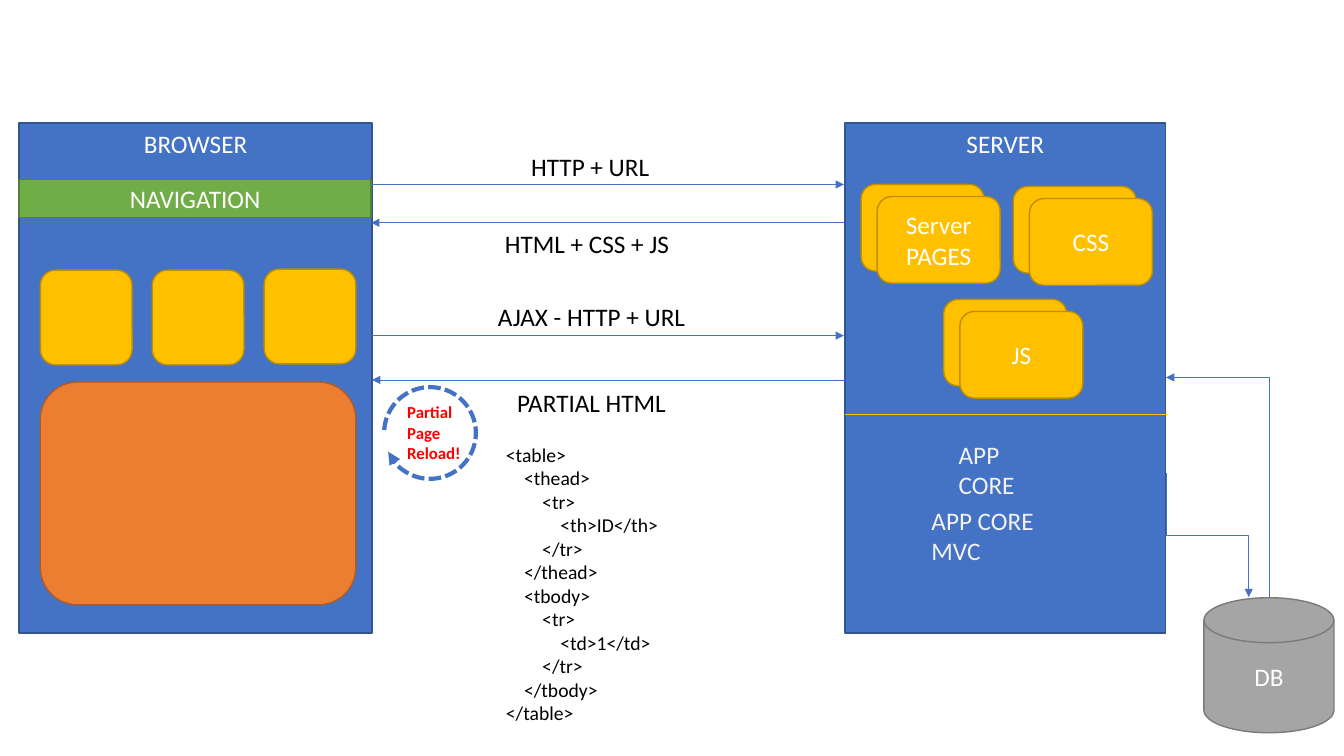
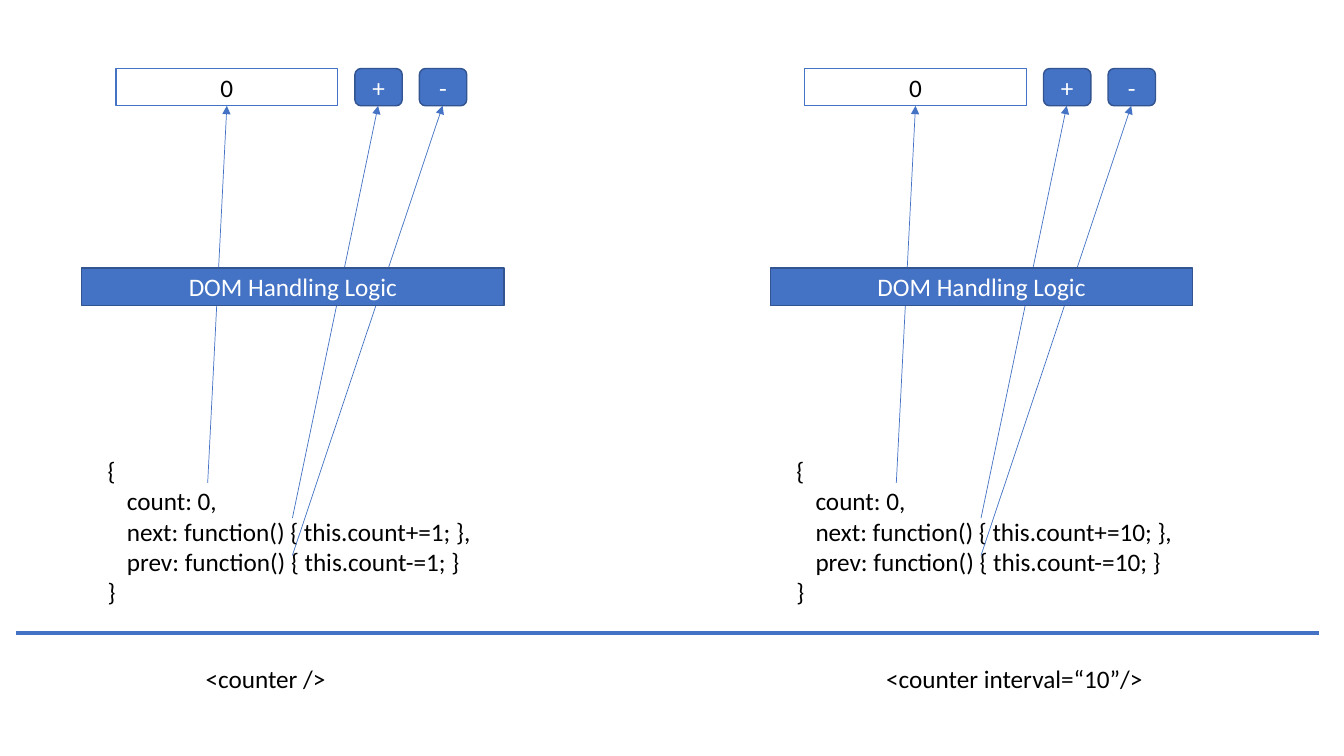
from dataclasses import dataclass
from typing import Any

from lxml import etree
from pptx import Presentation
from pptx.dml.color import RGBColor
from pptx.enum.dml import MSO_LINE
from pptx.enum.shapes import MSO_CONNECTOR, MSO_SHAPE
from pptx.enum.text import MSO_ANCHOR, MSO_AUTO_SIZE, PP_ALIGN
from pptx.oxml.ns import qn
from pptx.shapes.connector import Connector
from pptx.slide import Slide
from pptx.util import Pt

RECT = MSO_SHAPE.RECTANGLE
ROUND = MSO_SHAPE.ROUNDED_RECTANGLE
DISK = MSO_SHAPE.FLOWCHART_MAGNETIC_DISK
ARC = MSO_SHAPE.ARC
STRAIGHT = MSO_CONNECTOR.STRAIGHT
ELBOW = MSO_CONNECTOR.ELBOW
TOP = MSO_ANCHOR.TOP
MIDDLE = MSO_ANCHOR.MIDDLE
CENTER = PP_ALIGN.CENTER
GROW = MSO_AUTO_SIZE.SHAPE_TO_FIT_TEXT
SYSTEM_DASH = MSO_LINE.SQUARE_DOT

EMU_PER_PX = 9144
FONT = "Calibri"
COLORS = {
    "blue": "4472C4", "blue edge": "325491",
    "gold": "FFC000", "gold edge": "BD8E00",
    "green": "70AD47", "green edge": "538035",
    "orange": "ED7D31", "orange edge": "AF5C24",
    "gray": "A5A5A5", "gray edge": "7A7A7A",
    "white": "FFFFFF", "pale": "F2F2F2", "black": "000000", "red": "FF0000",
}


@dataclass(frozen=True)
class Box:
    left: int
    top: int
    width: int
    height: int
    fill: str = "blue"
    text: str = ""
    preset: MSO_SHAPE = RECT
    anchor: MSO_ANCHOR = MIDDLE
    edge: str = ""
    ink: str = "white"


@dataclass(frozen=True)
class Label:
    left: int
    top: int
    width: int
    height: int
    lines: tuple[tuple[int, str], ...]
    size: int = 18
    ink: str = "black"
    bold: bool = False
    wrap: bool = False
    indent: int = 19


@dataclass(frozen=True)
class Link:
    x1: int
    y1: int
    x2: int
    y2: int
    color: str = "blue"
    weight: float = 0.5
    arrow: bool = True


@dataclass(frozen=True)
class Counter:
    left: int
    step: int
    code_width: int
    tag: Label


def px(length: int) -> int:
    return length * EMU_PER_PX


def rgb(name: str) -> RGBColor:
    return RGBColor.from_string(COLORS[name])


def apply(target: Any, values: dict[str, Any]) -> None:
    for name, value in values.items():
        setattr(target, name, value)


def style_font(font: Any, size: int, ink: str, bold: bool = False) -> None:
    apply(font, {"name": FONT, "size": Pt(size), "bold": bold})
    font.color.rgb = rgb(ink)


def add_arrowhead(outlined: Any) -> None:
    etree.SubElement(outlined.get_or_add_ln(), qn("a:tailEnd"), type="triangle")


def add_box(shapes: Any, box: Box) -> None:
    shape = shapes.add_shape(box.preset, px(box.left), px(box.top), px(box.width), px(box.height))
    shape.shadow.inherit = False
    shape.fill.solid()
    shape.fill.fore_color.rgb = rgb(box.fill)
    shape.line.color.rgb = rgb(box.edge or f"{box.fill} edge")
    shape.line.width = Pt(1)
    if box.text:
        shape.text_frame.text = box.text
        shape.text_frame.vertical_anchor = box.anchor
        paragraph = shape.text_frame.paragraphs[0]
        paragraph.alignment = CENTER
        style_font(paragraph.runs[0].font, 18, box.ink)


def add_label(shapes: Any, label: Label) -> None:
    frame = shapes.add_textbox(
        px(label.left), px(label.top), px(label.width), px(label.height)).text_frame
    apply(frame, {"word_wrap": label.wrap, "auto_size": GROW})
    for index, (level, words) in enumerate(label.lines):
        paragraph = frame.add_paragraph() if index else frame.paragraphs[0]
        if level:
            paragraph._p.get_or_add_pPr().set("marL", str(px(level * label.indent)))
        run = paragraph.add_run()
        run.text = words
        style_font(run.font, label.size, label.ink, label.bold)


def add_link(shapes: Any, link: Link, route: MSO_CONNECTOR = STRAIGHT) -> Connector:
    connector = shapes.add_connector(
        route, px(link.x1), px(link.y1), px(link.x2), px(link.y2))
    connector.line.color.rgb = rgb(link.color)
    connector.line.width = Pt(link.weight)
    if link.arrow:
        add_arrowhead(connector)
    etree.SubElement(connector.element.spPr, qn("a:effectLst"))
    return connector


def add_turned_link(shapes: Any, frame: Link, flip: str, preset: str) -> None:
    properties = add_link(shapes, frame, ELBOW).element.spPr
    transform = properties.find(qn("a:xfrm"))
    transform.set("rot", "16200000")
    transform.set(flip, "1")
    properties.find(qn("a:prstGeom")).set("prst", preset)


def add_page_stack(slide: Slide, left: int, top: int, text: str) -> None:
    stack = slide.shapes.add_group_shape().shapes
    add_box(stack, Box(left, top, 122, 86, "gold", preset=ROUND))
    add_box(stack, Box(left + 16, top + 12, 122, 86, "gold", text, ROUND))


def add_reload_badge(slide: Slide) -> None:
    badge = slide.shapes.add_group_shape().shapes
    loop = badge.add_shape(ARC, px(381), px(384), px(91), px(91))
    loop.shadow.inherit = False
    loop.adjustments[0] = 162
    loop.adjustments[1] = 145.327
    loop.rotation = 273.6
    loop.fill.background()
    loop.line.color.rgb = rgb("blue")
    apply(loop.line, {"width": Pt(3), "dash_style": SYSTEM_DASH})
    add_arrowhead(loop)
    words = ((0, "Partial"), (0, "Page"), (0, "Reload!"))
    add_label(badge, Label(394, 394, 74, 71, words, 12, "red", True))


def draw_server(slide: Slide) -> None:
    shapes = slide.shapes
    add_box(shapes, Box(838, 122, 318, 506, text="SERVER", anchor=TOP))
    add_turned_link(shapes, Link(1136, 490, 1259, 572), "flipH", "bentConnector3")
    add_turned_link(shapes, Link(1076, 455, 1339, 557), "flipV", "bentConnector2")
    for left, top, text in ((854, 183, "Server PAGES"), (1005, 185, "CSS"), (936, 297, "JS")):
        add_page_stack(slide, left, top, text)
    add_box(shapes, Box(1194, 593, 129, 134, "gray", "DB", DISK))
    add_link(shapes, Link(838, 411, 1157, 411, "gold", arrow=False))
    for left, top, width, text in ((941, 431, 112, "APP CORE"), (914, 496, 167, "APP CORE MVC")):
        add_label(shapes, Label(left, top, width, 40, ((0, text),), ink="pale"))


def draw_browser(slide: Slide) -> None:
    shapes = slide.shapes
    add_box(shapes, Box(19, 122, 350, 506, text="BROWSER", anchor=TOP))
    add_box(shapes, Box(19, 178, 349, 38, "green", "NAVIGATION"))
    for column, top in enumerate((268, 268, 267)):
        add_box(shapes, Box(40 + 111 * column, top, 91, 94, "gold", preset=ROUND))
    add_box(shapes, Box(40, 379, 313, 221, "orange", preset=ROUND))


def draw_messages(slide: Slide) -> None:
    shapes = slide.shapes
    for start, end, y in ((369, 837, 183), (837, 368, 221), (369, 837, 333), (838, 369, 377)):
        add_link(shapes, Link(start, y, end, y))
    for left, top, width, text in (
        (517, 145, 139, "HTTP + URL"),
        (491, 222, 191, "HTML + CSS + JS"),
        (484, 294, 208, "AJAX - HTTP + URL"),
        (503, 379, 169, "PARTIAL HTML"),
    ):
        add_label(shapes, Label(left, top, width, 40, ((0, text),)))
    markup = (
        (0, "<table>"),
        (1, "<thead>"),
        (2, "<tr>"),
        (3, "<th>ID</th>"),
        (2, "</tr>"),
        (1, "</thead>"),
        (1, "<tbody>"),
        (2, "<tr>"),
        (3, "<td>1</td>"),
        (2, "</tr>"),
        (1, "</tbody>"),
        (0, "</table>"),
    )
    add_label(shapes, Label(492, 434, 244, 293, markup, 14, wrap=True, indent=18))
    add_reload_badge(slide)


def draw_counter(slide: Slide, counter: Counter) -> None:
    shapes = slide.shapes
    left = counter.left
    controls = (
        Box(left + 34, 68, 220, 37, "white", "0", edge="blue", ink="black"),
        Box(left + 271, 68, 47, 37, text="+", preset=ROUND),
        Box(left + 335, 68, 47, 37, text="-", preset=ROUND),
    )
    for control in controls:
        add_box(shapes, control)
    code = (
        (0, "{"),
        (1, "count: 0,"),
        (1, f"next: function() {{ this.count+={counter.step}; }},"),
        (1, f"prev: function() {{ this.count-={counter.step}; }}"),
        (0, "}"),
    )
    add_label(shapes, Label(left + 16, 447, counter.code_width, 162, code))
    for control, (x, y) in zip(controls, ((125, 479), (209, 514), (209, 551))):
        middle = control.left + control.width // 2
        add_link(shapes, Link(left + x, y, middle, control.top + control.height))
    add_box(shapes, Box(left, 266, 419, 37, text="DOM Handling Logic"))
    add_label(shapes, counter.tag)


def main() -> None:
    deck = Presentation()
    apply(deck, {"slide_width": px(1333), "slide_height": px(750)})
    blank = deck.slide_layouts[6]

    requests = deck.slides.add_slide(blank)
    draw_server(requests)
    draw_browser(requests)
    draw_messages(requests)

    components = deck.slides.add_slide(blank)
    for counter in (
        Counter(81, 1, 385, Label(194, 653, 141, 40, ((0, "<counter />"),))),
        Counter(764, 10, 398, Label(869, 653, 278, 40, ((0, "<counter interval=“10”/>"),))),
    ):
        draw_counter(components, counter)
    add_link(components.shapes, Link(16, 628, 1308, 628, weight=3, arrow=False))

    deck.save("out.pptx")


if __name__ == "__main__":
    main()
